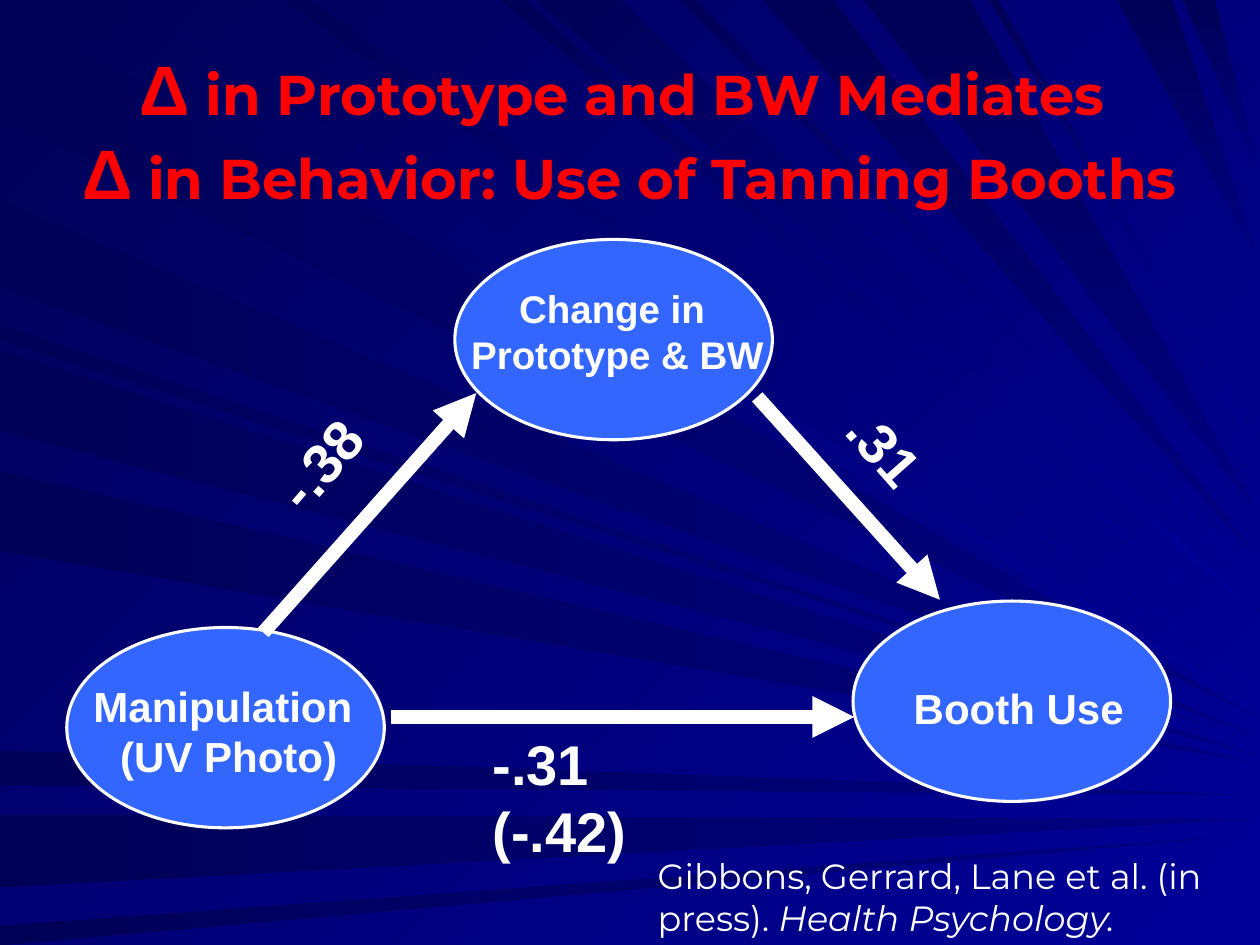
from lxml import etree
from pptx import Presentation
from pptx.dml.color import RGBColor
from pptx.enum import shapes, text
from pptx.oxml import parse_xml
from pptx.oxml.ns import nsdecls, qn
from pptx.util import Inches, Pt

WHITE = RGBColor(0xFF, 0xFF, 0xFF)
RED = RGBColor(0xFF, 0x00, 0x00)
NODE_BLUE = RGBColor(0x33, 0x66, 0xFF)
NIGHT = RGBColor(0x00, 0x00, 0x57)
ROYAL = RGBColor(0x00, 0x00, 0x99)
NAVY = RGBColor(0x00, 0x00, 0x80)

# Each ray is a triangle: start and end on the left or top edge, height of its tip on the right
LEFT_RAYS = [(0.02, 0.93, 5.7), (5.96, 6.23, 6.31), (6.47, 7.04, 6.5), (7.35, 7.5, 6.62),
             (2.58, 2.7, 5.89), (1.59, 2.28, 5.85), (2.78, 3.42, 6), (3.74, 4.37, 6.06)]
TOP_RAYS = [(0.26, 1.01, 5.63), (3.98, 4.16, 5.2), (4.26, 4.92, 4.9), (5.4, 5.52, 4.63),
            (2.25, 2.47, 5.5), (7.85, 7.92, 3.6)]
STEEP_RAYS = [(6.06, 6.61, 4.46), (6.86, 7.7, 4.1), (8.87, 9.3, 2.1), (9.39, 9.64, 1.4)]


def shade(fill, bright, angle):
    """Fill from a bright colour to night blue at a counterclockwise angle."""
    fill.gradient()
    fill.gradient_angle = angle
    for stop, color in zip(fill.gradient_stops, (bright, NIGHT)):
        stop.color.rgb = color


def write(box, lines, align, color, bold, wrap=True, shadow=False):
    """Write lines, each a list of (text, font values), into a box."""
    frame = box.text_frame
    frame.word_wrap = wrap
    frame.auto_size = text.MSO_AUTO_SIZE.SHAPE_TO_FIT_TEXT
    frame.vertical_anchor = text.MSO_ANCHOR.TOP
    for number, line in enumerate(lines):
        para = frame.add_paragraph() if number else frame.paragraphs[0]
        para.alignment = align
        for words, values in line:
            span = para.add_run()
            span.text = words
            span.font.color.rgb = color
            for name, value in {"bold": bold, **values}.items():
                setattr(span.font, name, value)
            if shadow:
                fill = span.font._element.find(qn("a:solidFill"))
                fill.addnext(parse_xml(
                    f'<a:effectLst {nsdecls("a")}><a:outerShdw dist="38100" dir="2700000">'
                    '<a:srgbClr val="000000"/></a:outerShdw></a:effectLst>'))


deck = Presentation()
deck.slide_width, deck.slide_height = Inches(10), Inches(7.5)
page = deck.slides.add_slide(deck.slide_layouts[5])
shade(page.background.fill, ROYAL, 135)

rays = page.shapes.add_group_shape()
for edge, bright, angle, triangles in [("left", NAVY, 180, LEFT_RAYS),
                                       ("top", ROYAL, 135, TOP_RAYS),
                                       ("top", NAVY, 90, STEEP_RAYS)]:
    for start, end, tip in triangles:
        corners = [(0, start), (0, end)] if edge == "left" else [(start, 0), (end, 0)]
        first, *others = [(Inches(x), Inches(y)) for x, y in [*corners, (10, tip)]]
        builder = rays.shapes.build_freeform(*first)
        builder.add_line_segments(others)
        ray = builder.convert_to_shape()
        ray.shadow.inherit = False
        ray.line.fill.background()
        shade(ray.fill, bright, angle)

for left, top in [(6.77, 4.77), (0.53, 4.98), (3.61, 1.9)]:
    node = page.shapes.add_shape(shapes.MSO_SHAPE.OVAL, Inches(left), Inches(top),
                                 Inches(2.52), Inches(1.59))
    node.shadow.inherit = False
    node.fill.solid()
    node.fill.fore_color.rgb = NODE_BLUE
    node.line.color.rgb = WHITE
    node.line.width = Pt(1.75)

CENTER, LEFT = text.PP_ALIGN.CENTER, text.PP_ALIGN.LEFT
delta = ("Δ", {"size": Pt(40), "name": "Arial"})
heading = {"size": Pt(32), "name": "Montserrat"}
title = page.shapes.title
title.element.getparent().append(title.element)  # in front of the rays
title.left, title.top, title.width, title.height = map(Inches, (0, 0.31, 10, 1.44))
write(title, [[delta, (" in Prototype and BW Mediates ", heading)],
              [delta, (" ", {**heading, "name": "Arial"}),
               ("in Behavior: Use of Tanning Booths", heading)]], CENTER, RED, True)

# Node labels: position, font size, wrap, lines
for place, size, wrap, lines in [
    ((0.27, 5.35, 3.09, 0.9), 24, True, ["Manipulation ", "(UV Photo)"]),
    ((6.99, 5.37, 2.19, 0.5), 24, True, ["Booth Use"]),
    ((3.64, 2.21, 2.52, 0.84), 22, False, ["Change in ", "Prototype & BW"]),
]:
    label = page.shapes.add_textbox(*map(Inches, place))
    font = {"size": Pt(size), "name": "Arial"}
    write(label, [[(line, font)] for line in lines], CENTER, WHITE, True, wrap, shadow=True)

for ends in [(2.09, 5.02, 3.78, 3.12), (6.01, 3.15, 7.46, 4.76), (3.1, 5.69, 6.78, 5.69)]:
    arrow = page.shapes.add_connector(shapes.MSO_CONNECTOR.STRAIGHT, *map(Inches, ends))
    arrow.line.color.rgb = WHITE
    arrow.line.width = Pt(8)
    etree.SubElement(arrow.line._get_or_add_ln(), qn("a:tailEnd"), type="triangle")
    etree.SubElement(arrow.element.spPr, qn("a:effectLst"))

# Path coefficients: position, rotation, wrap, value
for place, rotation, wrap, value in [
    ((2.04, 3.32, 1.07, 0.64), 310.9, True, "-.38"),
    ((6.62, 3.24, 0.82, 0.64), 48.7, False, ".31"),
    ((3.81, 5.74, 2.27, 0.64), 0, False, "-.31  (-.42)"),
]:
    coefficient = page.shapes.add_textbox(*map(Inches, place))
    coefficient.rotation = rotation
    write(coefficient, [[(value, {"size": Pt(32), "name": "Arial"})]], LEFT, WHITE, True, wrap)

citation = page.shapes.add_textbox(*map(Inches, (5.12, 6.73, 4.88, 0.77)))
body = {"size": Pt(20), "name": "Montserrat"}
write(citation, [[("Gibbons, Gerrard, Lane et al. (in press). ", body),
                  ("Health Psychology.", {**body, "italic": True})]], LEFT, WHITE, False)

deck.save("out.pptx")
